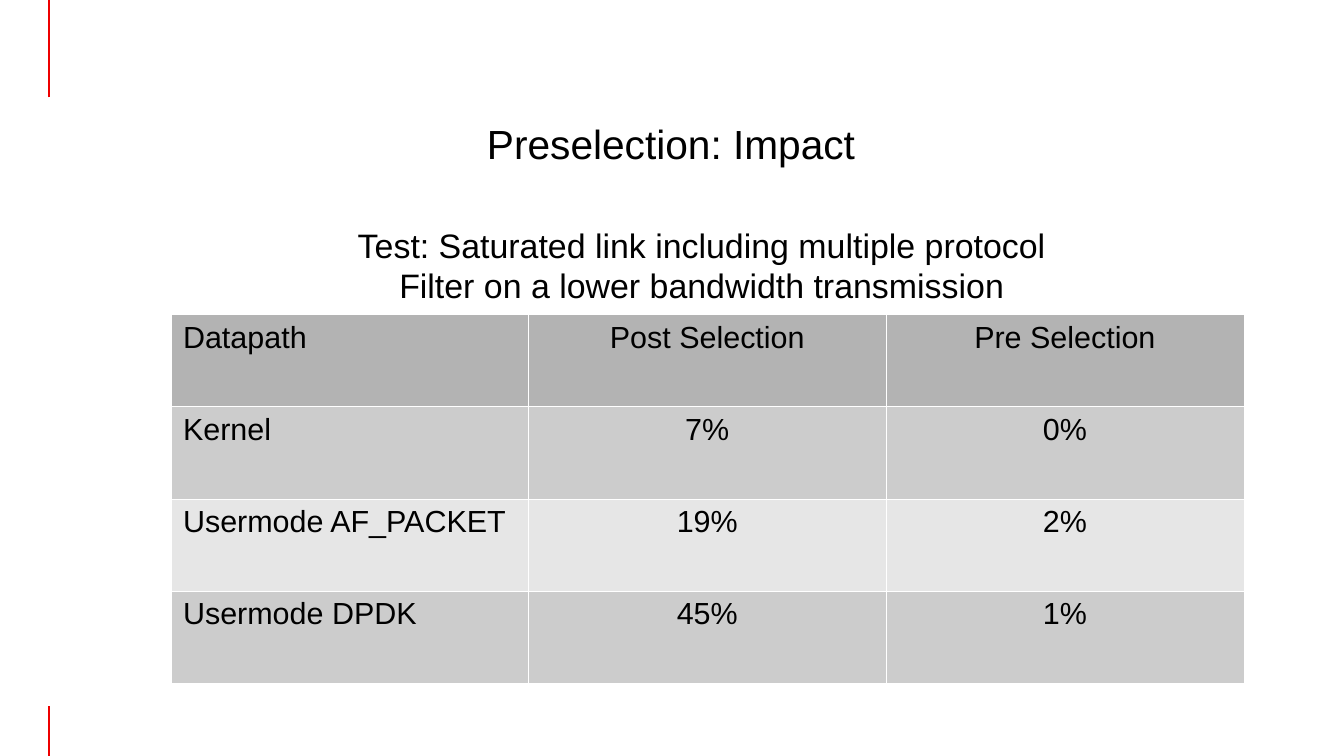
from lxml import etree
from pptx import Presentation
from pptx.dml import color
from pptx.enum import text
from pptx.oxml import ns
from pptx.util import Cm, Pt

HEADING = "Preselection: Impact"
TEST_SETUP = [
    "Test: Saturated link including multiple protocol",
    "Filter on a lower bandwidth transmission",
]
RESULTS = [
    ("Datapath", "Post Selection", "Pre Selection"),
    ("Kernel", "7%", "0%"),
    ("Usermode AF_PACKET", "19%", "2%"),
    ("Usermode DPDK", "45%", "1%"),
]
ROW_FILLS = ["B3B3B3", "CCCCCC", "E6E6E6", "CCCCCC"]
MARGIN_RULES = [(0, 2.03), (14.71, 15.75)]
RULE_X = 1.02
COLUMN_WIDTH, ROW_HEIGHT = 7.45, 1.92
BORDER_WIDTH = Pt(0.06)
HEADING_FRAME = {"margin_left": 0, "margin_right": 0, "margin_top": 0, "margin_bottom": 0,
                 "vertical_anchor": text.MSO_ANCHOR.MIDDLE,
                 "auto_size": text.MSO_AUTO_SIZE.NONE, "word_wrap": True}
SETUP_FRAME = {"word_wrap": True, "auto_size": text.MSO_AUTO_SIZE.SHAPE_TO_FIT_TEXT}
CENTER, LEFT = text.PP_ALIGN.CENTER, text.PP_ALIGN.LEFT


def rgb(value):
    return color.RGBColor.from_string(value)


def apply(target, formats):
    for name, value in formats.items():
        setattr(target, name, value)


def write(frame, lines, size, alignment):
    frame.text = "\n".join(lines)
    for paragraph in frame.paragraphs:
        paragraph.alignment = alignment
        apply(paragraph.runs[0].font, {"name": "Arial", "size": Pt(size), "bold": False})
        paragraph.runs[0].font.color.rgb = rgb("000000")


def add_borders(cell):
    properties = cell._tc.get_or_add_tcPr()
    for position, side in enumerate(("lnL", "lnR", "lnT", "lnB")):
        border = etree.Element(ns.qn(f"a:{side}"), w=str(int(BORDER_WIDTH)))
        paint = etree.SubElement(border, ns.qn("a:solidFill"))
        etree.SubElement(paint, ns.qn("a:srgbClr"), val="FFFFFF")
        properties.insert(position, border)


def main():
    deck = Presentation()
    apply(deck, {"slide_width": Cm(28), "slide_height": Cm(15.75)})
    slide = deck.slides.add_slide(deck.slide_layouts[5])

    for top, bottom in MARGIN_RULES:
        rule = slide.shapes.add_connector(1, Cm(RULE_X), Cm(bottom), Cm(RULE_X), Cm(top))
        rule.line.color.rgb = rgb("EE0000")
        rule.line.width = Pt(0.75)
        etree.SubElement(rule._element.spPr, ns.qn("a:effectLst"))

    heading = slide.shapes.title
    apply(heading, {"left": Cm(4.01), "top": Cm(2.18), "width": Cm(19.94), "height": Cm(1.3)})
    apply(heading.text_frame, HEADING_FRAME)
    write(heading.text_frame, [HEADING], 24, CENTER)
    heading.text_frame.paragraphs[0].line_spacing = 1.3

    results = slide.shapes.add_table(
        len(RESULTS), len(RESULTS[0]), Cm(3.56), Cm(6.55),
        Cm(COLUMN_WIDTH * len(RESULTS[0])), Cm(ROW_HEIGHT * len(RESULTS))).table
    apply(results, {"first_row": False, "horz_banding": False})
    for row, (values, fill) in enumerate(zip(RESULTS, ROW_FILLS)):
        for column, value in enumerate(values):
            cell = results.cell(row, column)
            write(cell.text_frame, [value], 18, CENTER if column else LEFT)
            cell.fill.solid()
            cell.fill.fore_color.rgb = rgb(fill)
            add_borders(cell)

    setup = slide.shapes.add_textbox(Cm(4.11), Cm(4.55), Cm(21.03), Cm(1.83))
    apply(setup.text_frame, SETUP_FRAME)
    write(setup.text_frame, TEST_SETUP, 20, CENTER)

    deck.save("out.pptx")


if __name__ == "__main__":
    main()
